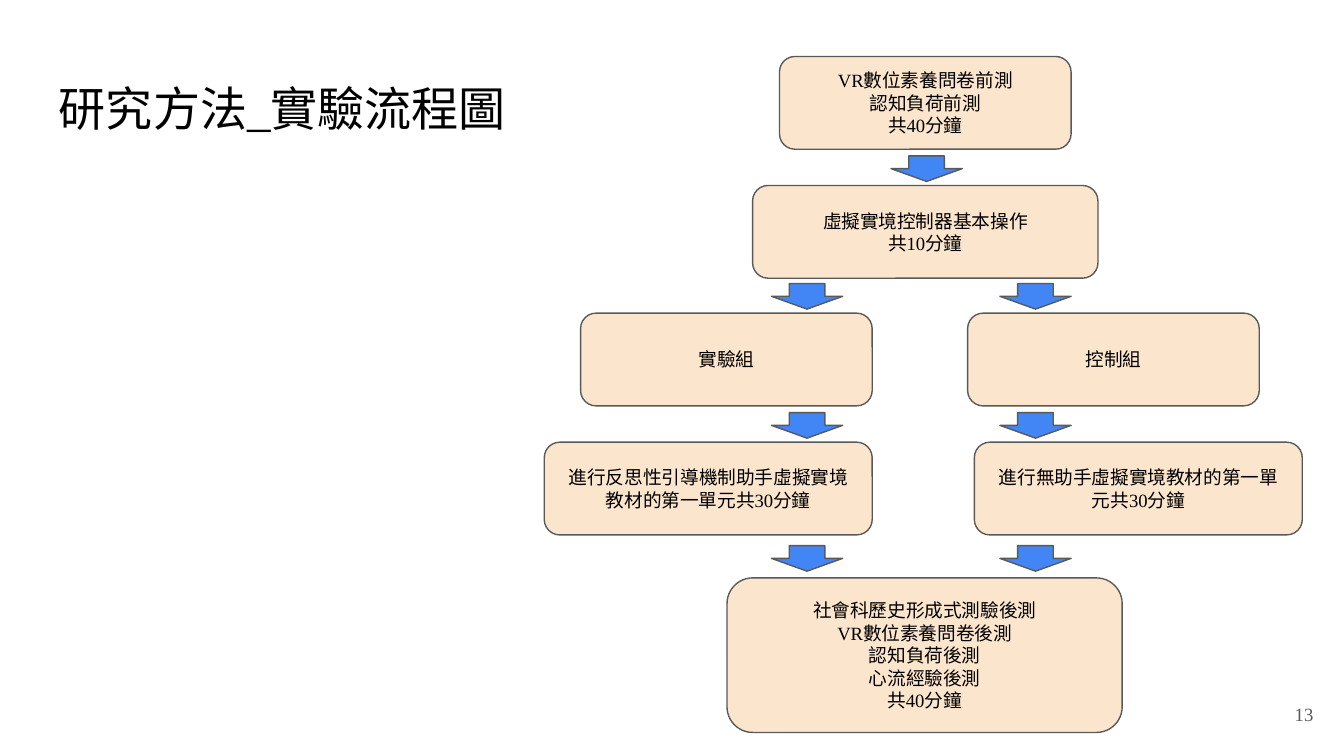
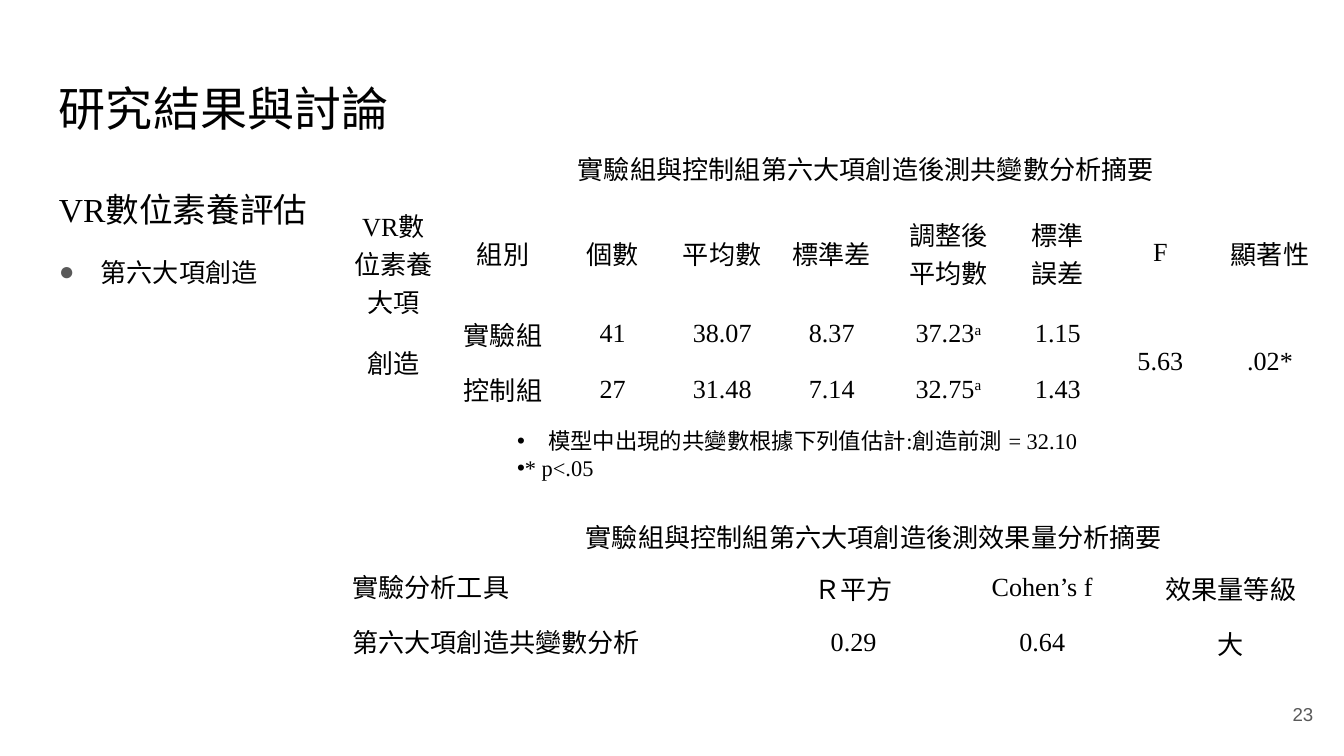
from lxml import etree
from pptx import Presentation
from pptx.dml.color import RGBColor
from pptx.enum.shapes import MSO_SHAPE as Shape
from pptx.enum.text import MSO_ANCHOR as Anchor, PP_ALIGN as Align
from pptx.oxml.ns import qn
from pptx.util import Inches, Pt

WIDE = 10
HIGH = WIDE * 9 / 16
INK, GRAY, CREAM, BLUE = "000000", "595959", "FCE5CD", "4285F4"
TIMES, ARIAL, NOTO = "Times New Roman", "Arial", "Noto Sans CJK SC"
EDGE = 0.34

# Flow chart: left, row, width, height, lines
TOPS, BOX = [0.42, 1.38, 2.33, 3.29, 4.3], 0.69
STAGES = [
    (5.8, 0, 2.17, BOX, ["VR數位素養問卷前測", "認知負荷前測", "共40分鐘"]),
    (5.6, 1, 2.57, BOX, ["虛擬實境控制器基本操作", "共10分鐘"]),
    (4.32, 2, 2.17, BOX, ["實驗組"]),
    (7.2, 2, 2.17, BOX, ["控制組"]),
    (4.05, 3, 2.44, BOX, ["進行反思性引導機制助手虛擬實境教材的第一單元共30分鐘"]),
    (7.25, 3, 2.44, BOX, ["進行無助手虛擬實境教材的第一單元共30分鐘"]),
    (5.41, 4, 2.94, 1.15, ["社會科歷史形成式測驗後測", "VR數位素養問卷後測",
                           "認知負荷後測", "心流經驗後測", "共40分鐘"]),
]
LEFT, MID, RIGHT = 5.74, 6.63, 7.44
ARROWS = [(1.16, [MID]), (2.11, [LEFT, RIGHT]),
          (3.07, [LEFT, RIGHT]), (4.06, [LEFT, RIGHT])]

# Result tables: a None cell belongs to the merged cell above it
ROW, TABLE_X, TABLE_W = 0.41, 2.52, 7.34
SCORES = [
    ["VR數位素養大項", "組別", "個數", "平均數", "標準差", "調整後平均數",
     "標準誤差", "F", "顯著性"],
    ["創造", "實驗組", "41", "38.07", "8.37", ("37.23", "a"), "1.15", "5.63", ".02*"],
    [None, "控制組", "27", "31.48", "7.14", ("32.75", "a"), "1.43", None, None],
]
EVEN = (TABLE_W - 0.92 - 0.71) / 7
SCORE_COLS = [EVEN] * 5 + [0.92, 0.71] + [EVEN] * 2
EFFECTS = [
    ["實驗分析工具", "Ｒ平方", "Cohen’s f", "效果量等級"],
    ["第六大項創造共變數分析", "0.29", "0.64", "大"],
]
EFFECT_COLS = [3.13] + [(TABLE_W - 3.13) / 3] * 3
CAPTIONS = [(4.2, 1.09, "後測共變數分析摘要"), (4.26, 3.83, "後測效果量分析摘要")]
NOTES = [("模型中出現的共變數根據下列值估計:創造前測 = 32.10", 0.23), ("* p<.05", 0)]


def tint(text):
    return RGBColor.from_string(text)


def style(run, size, latin=TIMES, asian=ARIAL, color=INK):
    font = run.font
    font.size, font.name, font.bold = Pt(size), latin, False
    font.color.rgb = tint(color)
    mark = etree.Element(qn("a:ea"), typeface=asian)
    font._element.find(qn("a:latin")).addnext(mark)


def add_run(para, text, *look):
    run = para.add_run()
    run.text = text
    style(run, *look)
    return run


def bullet(para, sign, hang, color=None):
    props = para._p.get_or_add_pPr()
    props.set("marL", str(Inches(hang)))
    props.set("indent", str(-Inches(hang)))
    if color:
        etree.SubElement(etree.SubElement(props, qn("a:buClr")),
                         qn("a:srgbClr"), val=color)
    etree.SubElement(props, qn("a:buFont"), typeface=ARIAL)
    etree.SubElement(props, qn("a:buChar"), char=sign)


def fill_text(frame, lines, align, *look):
    """Write one paragraph per line in a single look."""
    frame.text = "\n".join(lines)
    for para in frame.paragraphs:
        para.alignment = align
        for run in para.runs:
            style(run, *look)


def add_box(slide, x, y, w, h, inset=0.1, anchor=Anchor.TOP, wrap=True):
    frame = slide.shapes.add_textbox(*map(Inches, (x, y, w, h))).text_frame
    frame.word_wrap, frame.vertical_anchor = wrap, anchor
    frame.margin_top = frame.margin_bottom = Inches(inset)
    return frame


def add_slide(deck, title, width, number, latin):
    slide = deck.slides.add_slide(deck.slide_layouts[6])
    head = add_box(slide, EDGE, 0.49, width, 0.63)
    fill_text(head, [title], Align.LEFT, 25.2, latin)
    foot = add_box(slide, 9.27, 5.1, 0.6, 0.43, anchor=Anchor.MIDDLE)
    fill_text(foot, [number], Align.RIGHT, 10, latin, ARIAL, GRAY)
    return slide


def add_block(slide, kind, x, y, w, h, fill):
    block = slide.shapes.add_shape(kind, *map(Inches, (x, y, w, h)))
    block.shadow.inherit = False
    block.fill.solid()
    block.fill.fore_color.rgb = tint(fill)
    block.line.color.rgb = tint(GRAY)
    block.line.width = Pt(0.75)
    return block


def add_grid(slide, y, high, rows, cols, first):
    """Draw a plain table; first is the alignment of its first column."""
    frame = slide.shapes.add_table(len(rows), len(cols), Inches(TABLE_X), Inches(y),
                                   Inches(TABLE_W), Inches(high))
    grid = frame.table
    grid.first_row = grid.horz_banding = False
    for col, width in zip(grid.columns, cols):
        col.width = Inches(width)
    for row in grid.rows:
        row.height = Inches(ROW)
    frame.height = Inches(high)
    for r, row in enumerate(rows):
        for c, value in enumerate(row):
            cell = grid.cell(r, c)
            cell.fill.background()
            if value is None:
                grid.cell(r - 1, c).merge(cell)
                continue
            left = c == 0 and first == Align.LEFT
            cell.vertical_anchor = Anchor.TOP if left else Anchor.MIDDLE
            para = cell.text_frame.paragraphs[0]
            para.alignment = first if c == 0 else Align.CENTER
            main, *sup = value if isinstance(value, tuple) else (value,)
            add_run(para, main, 14, TIMES, NOTO)
            for text in sup:
                run = add_run(para, text, 14, TIMES, NOTO)
                run.font._element.set("baseline", "30000")


def draw_flow(deck):
    slide = add_slide(deck, "研究方法_實驗流程圖", 3.61, "13", TIMES)
    for x, row, w, h, lines in STAGES:
        box = add_block(slide, Shape.ROUNDED_RECTANGLE, x, TOPS[row], w, h, CREAM)
        frame = box.text_frame
        frame.word_wrap, frame.vertical_anchor = True, Anchor.MIDDLE
        frame.margin_top = frame.margin_bottom = Inches(0.1)
        fill_text(frame, lines, Align.CENTER, 10)
    for y, spots in ARROWS:
        for x in spots:
            add_block(slide, Shape.DOWN_ARROW, x, y, 0.53, 0.19, BLUE)


def draw_results(deck):
    slide = add_slide(deck, "研究結果與討論", WIDE - 2 * EDGE, "23", ARIAL)
    body = add_box(slide, EDGE, 1.26, 2.18, 3.64)
    topic, item = body.paragraphs[0], body.add_paragraph()
    for para in (topic, item):
        para.line_spacing, para.space_after = 1.15, Pt(12)
    add_run(topic, "VR", 18, TIMES, NOTO)
    add_run(topic, "數位素養評估", 18, NOTO, NOTO)
    add_run(item, "第六大項創造", 14, NOTO, NOTO)
    bullet(item, "●", 0.31, GRAY)

    notes = add_box(slide, 3.75, 3.13, 5.43, 0.5, 0.05, Anchor.MIDDLE)
    fill_text(notes, [text for text, _ in NOTES], Align.LEFT, 12)
    for para, (_, hang) in zip(notes.paragraphs, NOTES):
        bullet(para, "•", hang)

    add_grid(slide, 1.48, 1.61, SCORES, SCORE_COLS, Align.CENTER)
    add_grid(slide, 4.17, 2 * ROW, EFFECTS, EFFECT_COLS, Align.LEFT)
    for x, y, end in CAPTIONS:
        para = add_box(slide, x, y, 4.52, 0.34, 0.05, wrap=False).paragraphs[0]
        for text, latin in (("實驗組與控制組", NOTO), ("第六大項創造", TIMES), (end, NOTO)):
            add_run(para, text, 14, latin, NOTO)


def main():
    deck = Presentation()
    deck.slide_width, deck.slide_height = Inches(WIDE), Inches(HIGH)
    draw_flow(deck)
    draw_results(deck)
    deck.save("out.pptx")


if __name__ == "__main__":
    main()
